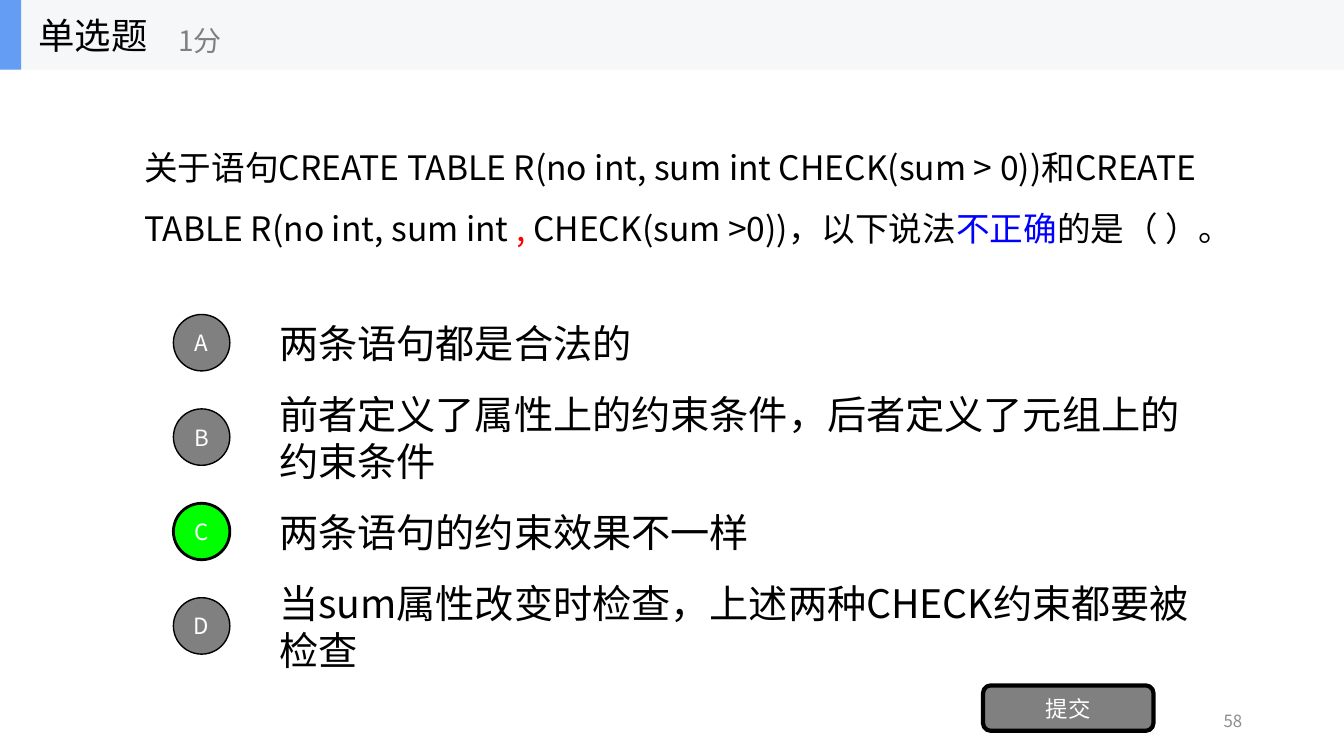
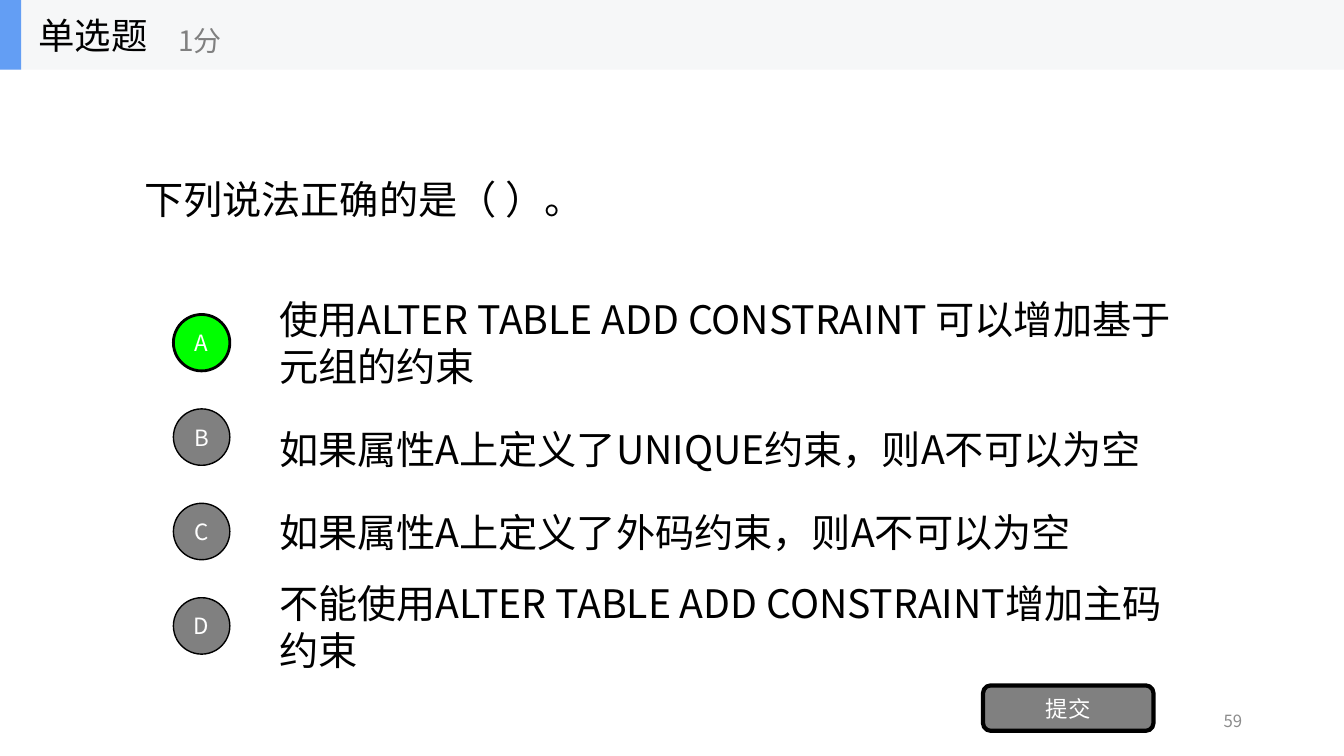
from lxml.etree import SubElement
from pptx import Presentation
from pptx.dml.color import RGBColor
from pptx.enum.shapes import MSO_SHAPE
from pptx.enum.text import MSO_ANCHOR, MSO_AUTO_SIZE, PP_ALIGN
from pptx.oxml.ns import qn
from pptx.util import Inches, Pt

FACE = "Noto Sans CJK SC"
BLACK = RGBColor(0, 0, 0)
WHITE = RGBColor(255, 255, 255)
GRAY = RGBColor(0x80, 0x80, 0x80)
PALE = RGBColor(0x8C, 0x8C, 0x8C)
BAND = RGBColor(0xF6, 0xF7, 0xF8)
ACCENT = RGBColor(0x63, 0x9E, 0xF4)
GREEN = RGBColor(0, 255, 0)
RED = RGBColor(255, 0, 0)
BLUE = RGBColor(0, 0, 255)

WIDE, HIGH = 13.33, 7.5
HEAD = (0, 0, WIDE, 0.69)
STEM = (1.33, 0.69, 10.67, 2.34)
LIST = (1.72, 3.05, 10.28, 3.51)
FOOT = (9.42, 6.8, 3, 0.55)
ROW, DOT = 0.7, 0.56

SLIDES = [
    {
        "number": 58, "size": 24, "answer": "C",
        "stem": [
            ("关于语句CREATE TABLE R(no int, sum int CHECK(sum > 0))和"
             "CREATE TABLE R(no int, sum int ", BLACK),
            (", ", RED),
            ("CHECK(sum >0))，以下说法", BLACK),
            ("不正确", BLUE),
            ("的是（ ）。", BLACK),
        ],
        "options": [
            ("两条语句都是合法的", 1, 0),
            ("前者定义了属性上的约束条件，后者定义了元组上的约束条件", 1, 0),
            ("两条语句的约束效果不一样", 1, 0),
            ("当sum属性改变时检查，上述两种CHECK约束都要被检查", 1, 0),
        ],
    },
    {
        "number": 59, "size": 28, "answer": "A",
        "stem": [("下列说法正确的是（ ）。", BLACK)],
        "options": [
            ("使用ALTER TABLE ADD CONSTRAINT 可以增加基于元组的约束", 1, 0),
            ("如果属性A上定义了UNIQUE约束，则A不可以为空", 1.5, 0),
            ("如果属性A上定义了外码约束，则A不可以为空", 1.5, -0.11),
            ("不能使用ALTER TABLE ADD CONSTRAINT增加主码约束", 1, 0),
        ],
    },
]


def assign(item, values):
    for key, value in values.items():
        setattr(item, key, value)


def place(shape, box):
    names = ("left", "top", "width", "height")
    assign(shape, dict(zip(names, map(Inches, box))))


def write(shape, runs, size, align=PP_ALIGN.LEFT, spacing=1):
    frame = shape.text_frame
    assign(frame, {
        "word_wrap": True,
        "auto_size": MSO_AUTO_SIZE.NONE,
        "vertical_anchor": MSO_ANCHOR.MIDDLE,
    })
    para = frame.paragraphs[0]
    assign(para, {"alignment": align, "line_spacing": spacing,
                  "space_before": Pt(0)})
    for text, color in runs:
        run = para.add_run()
        run.text = text
        assign(run.font, {"name": FACE, "size": Pt(size)})
        run.font.color.rgb = color
        SubElement(run.font._element, qn("a:ea"), typeface=FACE)


def label(slide, box, text, size, color=BLACK, **style):
    shape = slide.shapes.add_textbox(*map(Inches, box))
    write(shape, [(text, color)], size, **style)


def block(slide, kind, box, fill, line=0, text=""):
    shape = slide.shapes.add_shape(kind, *map(Inches, box))
    shape.shadow.inherit = False
    shape.fill.solid()
    shape.fill.fore_color.rgb = fill
    if line:
        shape.line.color.rgb = BLACK
        shape.line.width = Pt(line)
    else:
        shape.line.fill.background()
    if text:
        sides = ("left", "top", "right", "bottom")
        assign(shape.text_frame, {f"margin_{side}": 0 for side in sides})
        write(shape, [(text, WHITE)], 16, PP_ALIGN.CENTER)


def header(slide, box):
    left, top, width, height = box
    block(slide, MSO_SHAPE.RECTANGLE, box, BAND)
    block(slide, MSO_SHAPE.RECTANGLE, (left, top, 0.21, height), ACCENT)
    title = slide.shapes.title
    place(title, (left + 0.28, top, 2.08, height))
    write(title, [("单选题", BLACK)], 26)
    title.element.getparent().append(title.element)
    label(slide, (left + 1.67, top + 0.12, 2.5, 0.56), "1分", 20, GRAY)


def question(slide, box, runs, size):
    body = slide.placeholders[1]
    place(body, box)
    props = body.text_frame.paragraphs[0]._p.get_or_add_pPr()
    props.set("marL", "0")
    props.set("indent", "0")
    SubElement(props, qn("a:buNone"))
    write(body, runs, size, spacing=1.5)


def choices(slide, box, options, answer):
    left, top, width, height = box
    step = (height - ROW) / (len(options) - 1)
    indent = 0.95
    for index, (text, spacing, shift) in enumerate(options):
        letter = "ABCD"[index]
        row = top + index * step
        fill, line = (GREEN, 2) if letter == answer else (GRAY, 1)
        dot = (left, row + (ROW - DOT) / 2, DOT, DOT)
        block(slide, MSO_SHAPE.OVAL, dot, fill, line, letter)
        label(slide, (left + indent, row + shift, width - indent, ROW),
              text, 28, spacing=spacing)


def footer(slide, box, number):
    left, top, width, height = box
    button = (left + 0.33, top, 1.69, 0.45)
    block(slide, MSO_SHAPE.ROUNDED_RECTANGLE, button, GRAY, 3, "提交")
    label(slide, (left, top + 0.15, width, height - 0.15), str(number), 12,
          PALE, align=PP_ALIGN.RIGHT)


def main():
    deck = Presentation()
    assign(deck, {"slide_width": Inches(WIDE), "slide_height": Inches(HIGH)})
    for data in SLIDES:
        slide = deck.slides.add_slide(deck.slide_layouts[1])
        header(slide, HEAD)
        question(slide, STEM, data["stem"], data["size"])
        choices(slide, LIST, data["options"], data["answer"])
        footer(slide, FOOT, data["number"])
    deck.save("out.pptx")


if __name__ == "__main__":
    main()
